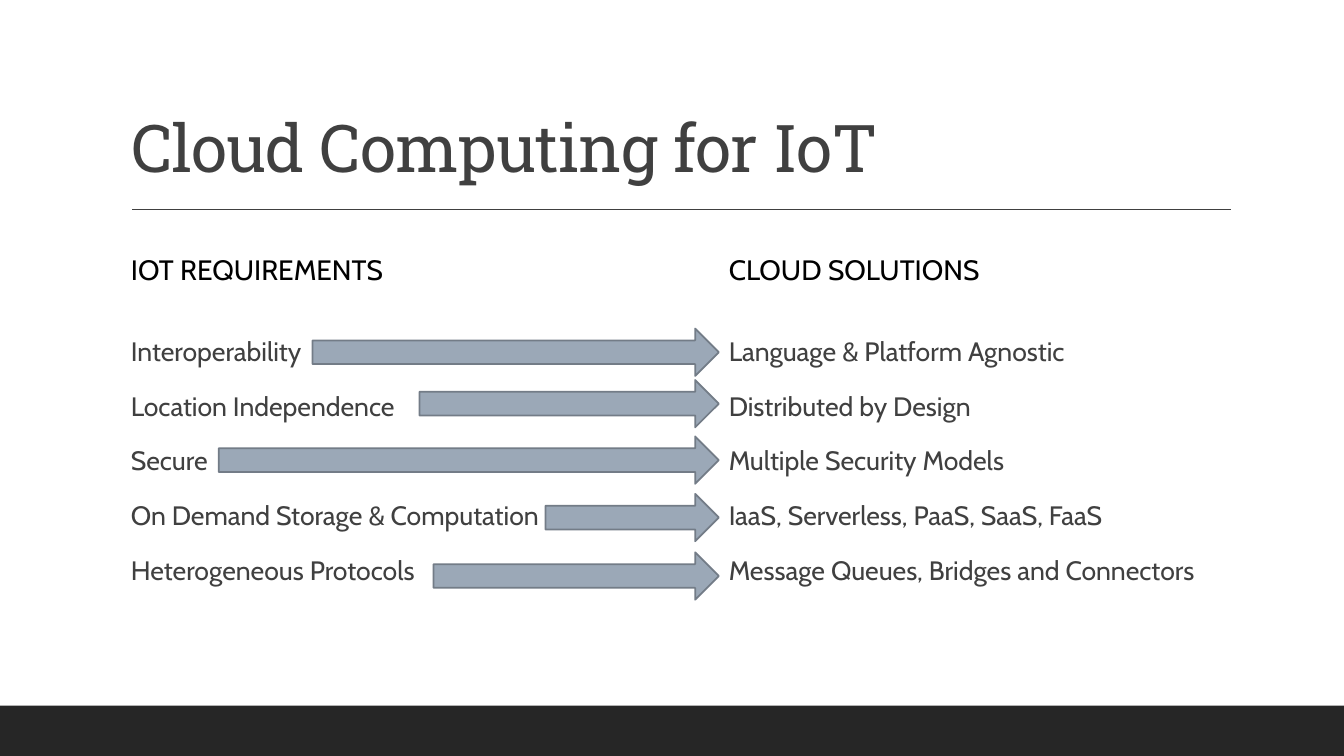
import dataclasses

import pptx
import pptx.dml.color
import pptx.enum.shapes
import pptx.enum.text
import pptx.util
from lxml import etree

Inches = pptx.util.Inches
Pt = pptx.util.Pt
RGB = pptx.dml.color.RGBColor.from_string
MSO_SHAPE = pptx.enum.shapes.MSO_SHAPE
ANCHOR = pptx.enum.text.MSO_ANCHOR


@dataclasses.dataclass(frozen=True)
class Theme:
    text: str = "404040"
    heading: str = "000000"
    band: str = "262626"
    arrow: str = "9BA8B7"
    arrow_edge: str = "737C87"
    title_font: str = "Roboto Slab"
    body_font: str = "Cabin"
    title_size: float = 47
    heading_size: float = 20
    body_size: float = 19


THEME = Theme()
REQUIREMENTS = [
    "Interoperability",
    "Location Independence",
    "Secure",
    "On Demand Storage & Computation",
    "Heterogeneous Protocols",
]
SOLUTIONS = [
    "Language & Platform Agnostic",
    "Distributed by Design",
    "Multiple Security Models",
    "IaaS, Serverless, PaaS, SaaS, FaaS",
    "Message Queues, Bridges and Connectors",
]
ARROW_STARTS = [(3.1, 3.26), (4.16, 3.77), (2.17, 4.33), (5.41, 4.9), (4.3, 5.48)]


def set_font(p, name, size, color):
    p.font.name = name
    p.font.size = Pt(size)
    p.font.color.rgb = RGB(color)


def add_filled(slide, kind, x, y, w, h, fill):
    sp = slide.shapes.add_shape(kind, Inches(x), Inches(y), Inches(w), Inches(h))
    sp.shadow.inherit = False
    sp.fill.solid()
    sp.fill.fore_color.rgb = RGB(fill)
    sp.line.fill.background()
    return sp


def add_title(slide, text, x, y, w, h):
    sp = slide.shapes.title
    sp.left, sp.top, sp.width, sp.height = (Inches(v) for v in (x, y, w, h))
    tf = sp.text_frame
    tf.text = text
    tf.word_wrap = True
    tf.auto_size = pptx.enum.text.MSO_AUTO_SIZE.NONE
    tf.vertical_anchor = ANCHOR.BOTTOM
    p = tf.paragraphs[0]
    p.alignment = pptx.enum.text.PP_ALIGN.LEFT
    p.line_spacing = 0.9
    set_font(p, THEME.title_font, THEME.title_size, THEME.text)
    p.runs[0]._r.get_or_add_rPr().set("spc", "-50")

    rule_y = Inches(y + h + 0.18)
    rule = slide.shapes.add_connector(
        pptx.enum.shapes.MSO_CONNECTOR.STRAIGHT,
        Inches(x + 0.11), rule_y, Inches(x + w + 0.01), rule_y)
    rule.line.color.rgb = RGB(THEME.text)
    rule.line.width = Pt(1)
    etree.SubElement(rule._element.spPr, pptx.oxml.ns.qn("a:effectLst"))


def add_text(slide, lines, x, y, w, h, size, color, anchor):
    sp = slide.shapes.add_textbox(Inches(x), Inches(y), Inches(w), Inches(h))
    tf = sp.text_frame
    tf.word_wrap = True
    tf.vertical_anchor = anchor
    for i, line in enumerate(lines):
        p = tf.add_paragraph() if i else tf.paragraphs[0]
        p.text = line
        p.line_spacing = 1.1
        p.space_before = Pt(12 if i else 0)
        p.space_after = Pt(2)
        set_font(p, THEME.body_font, size, color)


def add_column(slide, heading, items, x, y, w, h):
    heading_h, list_offset = 0.81, 0.99
    add_text(slide, [heading], x, y, w, heading_h,
             THEME.heading_size, THEME.heading, ANCHOR.MIDDLE)
    add_text(slide, items, x, y + list_offset, w, h - list_offset,
             THEME.body_size, THEME.text, ANCHOR.TOP)


def add_arrows(slide, starts, tip_x, h):
    for x, y in starts:
        sp = add_filled(slide, MSO_SHAPE.RIGHT_ARROW, x, y, tip_x - x, h, THEME.arrow)
        sp.line.color.rgb = RGB(THEME.arrow_edge)
        sp.line.width = Pt(1.25)


def main():
    prs = pptx.Presentation()
    prs.slide_width, prs.slide_height = Inches(13.33), Inches(7.5)
    slide = prs.slides.add_slide(prs.slide_layouts[5])
    add_filled(slide, MSO_SHAPE.RECTANGLE, 0, 7, 13.33, 0.5, THEME.band)
    add_title(slide, "Cloud Computing for IoT", 1.2, 0.31, 11, 1.59)
    add_column(slide, "IOT REQUIREMENTS", REQUIREMENTS, 1.2, 2.25, 5.07, 4.17)
    add_column(slide, "CLOUD SOLUTIONS", SOLUTIONS, 7.13, 2.25, 5.07, 4.17)
    add_arrows(slide, ARROW_STARTS, 7.13, 0.47)
    prs.save("out.pptx")


if __name__ == "__main__":
    main()
